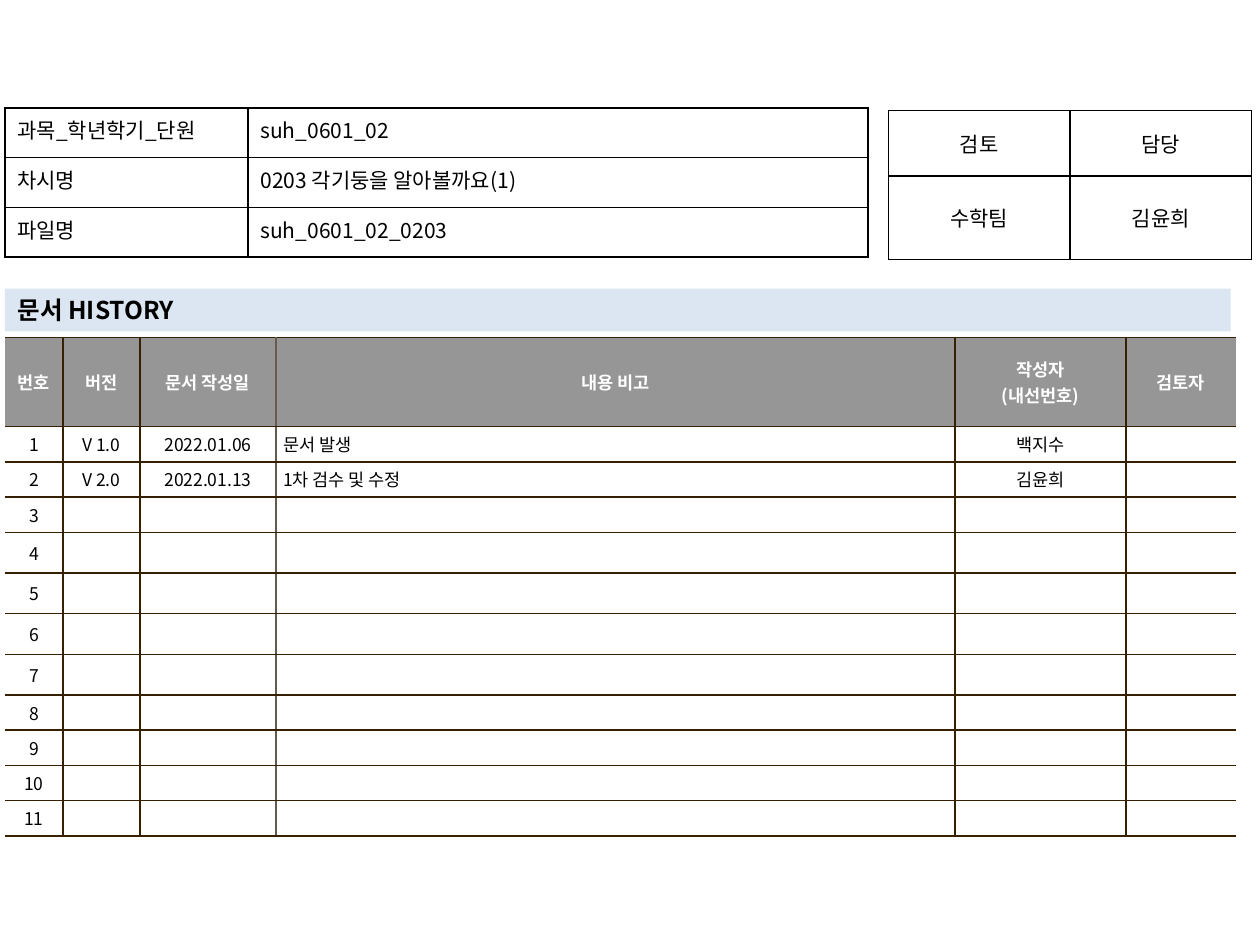
"""Build the document history slide with its info, review and history tables."""
from lxml.etree import SubElement
from pptx import Presentation
from pptx.dml.color import RGBColor
from pptx.enum.text import MSO_ANCHOR, MSO_AUTO_SIZE, PP_ALIGN
from pptx.oxml.ns import qn
from pptx.util import Cm, Pt

FONT = "Noto Sans CJK KR"
COLORS = {"text": "000000", "white": "FFFFFF", "head": "969696",
          "band": "DCE6F2", "line": "362000", "soft": "645B4C"}
LEFT, CENTER, JUSTIFY = PP_ALIGN.LEFT, PP_ALIGN.CENTER, PP_ALIGN.JUSTIFY


def color(name):
    return RGBColor.from_string(COLORS[name])


def write(frame, text, size=12, tint="text", bold=False, align=LEFT):
    frame.text = text
    for para in frame.paragraphs:
        para.alignment = align
        for run in para.runs:
            font = run.font
            font.name, font.size, font.bold = FONT, Pt(size), bold
            font.color.rgb = color(tint)
            SubElement(font._element, qn("a:ea"), typeface=FONT)
        if not para.runs:
            SubElement(para._p, qn("a:endParaRPr"), sz=str(size * 100))


def border(cell, **sides):
    props = cell._tc.get_or_add_tcPr()
    for side in "LRTB":
        tint = sides[side]
        line = SubElement(props, qn(f"a:ln{side}"), w=str(Pt(1)))
        if tint:
            fill = SubElement(line, qn("a:solidFill"))
            SubElement(fill, qn("a:srgbClr"), val=COLORS[tint])
        else:
            SubElement(line, qn("a:noFill"))


class Sheet:
    def __init__(self, deck):
        self.slide = deck.slides.add_slide(deck.slide_layouts[5])

    def title(self, text, left, top, width, height):
        shape = self.slide.shapes.title
        shape.left, shape.top = Cm(left), Cm(top)
        shape.width, shape.height = Cm(width), Cm(height)
        shape.fill.solid()
        shape.fill.fore_color.rgb = color("band")
        frame = shape.text_frame
        frame.auto_size = MSO_AUTO_SIZE.NONE
        frame.vertical_anchor = MSO_ANCHOR.MIDDLE
        write(frame, text, size=14, bold=True)

    def table(self, data, left, top, cols, rows, edges, aligns, line="text",
              size=12, pad=(0.25, 0.13), anchor=MSO_ANCHOR.MIDDLE,
              head=None, body=None):
        table = self.slide.shapes.add_table(
            len(rows), len(cols), Cm(left), Cm(top),
            Cm(sum(cols)), Cm(sum(rows))).table
        table.first_row = table.horz_banding = False
        for col, width in zip(table.columns, cols):
            col.width = Cm(width)
        for r, (height, texts) in enumerate(zip(rows, data)):
            table.rows[r].height = Cm(height)
            top_row = head and r == 0
            fill = head if top_row else body
            for c, text in enumerate(texts):
                cell = table.cell(r, c)
                border(cell, L=edges[c], R=edges[c + 1], T=line, B=line)
                if fill:
                    cell.fill.solid()
                    cell.fill.fore_color.rgb = color(fill)
                else:
                    cell.fill.background()
                cell.margin_left = cell.margin_right = Cm(pad[0])
                cell.margin_top = cell.margin_bottom = Cm(pad[1])
                cell.vertical_anchor = anchor
                write(cell.text_frame, text, size=size, bold=bool(top_row),
                      tint="white" if top_row else "text",
                      align=CENTER if top_row else aligns[c])


def main():
    deck = Presentation()
    deck.slide_width, deck.slide_height = Cm(25.4), Cm(19.05)
    sheet = Sheet(deck)

    notes = [("V 1.0", "2022.01.06", "문서 발생", "백지수", ""),
             ("V 2.0", "2022.01.13", "1차 검수 및 수정", "김윤희", "")]
    notes += [("",) * 5] * 9
    data = [("번호", "버전", "문서 작성일", "내용 비고",
             "작성자\n(내선번호)", "검토자")]
    data += [(str(n), *note) for n, note in enumerate(notes, 1)]
    sheet.table(data, 0.1, 6.8, cols=[1.17, 1.55, 2.74, 13.69, 3.45, 2.21],
                rows=[1.8] + [0.71] * 3 + [0.82] * 4 + [0.71] * 4,
                edges=[None, "line", "line", "soft", "line", "line", None],
                aligns=[CENTER] * 3 + [LEFT] + [CENTER] * 2, line="line",
                size=10, pad=(0.15, 0.1), head="head", body="white")

    sheet.table([("검토", "담당"), ("수학팀", "김윤희")], 17.91, 2.23,
                cols=[3.66] * 2, rows=[1.32, 1.68], edges=["text"] * 3,
                aligns=[CENTER] * 2)

    sheet.title("문서 HISTORY", 0.1, 5.82, 24.71, 0.86)

    info = [("과목_학년학기_단원 ", "suh_0601_02"),
            ("차시명", "0203 각기둥을 알아볼까요(1)"),
            ("파일명", "suh_0601_02_0203")]
    sheet.table(info, 0.1, 2.18, cols=[4.9, 12.5], rows=[1] * 3,
                edges=["text"] * 3, aligns=[JUSTIFY, LEFT],
                anchor=MSO_ANCHOR.TOP)
    deck.save("out.pptx")


if __name__ == "__main__":
    main()
